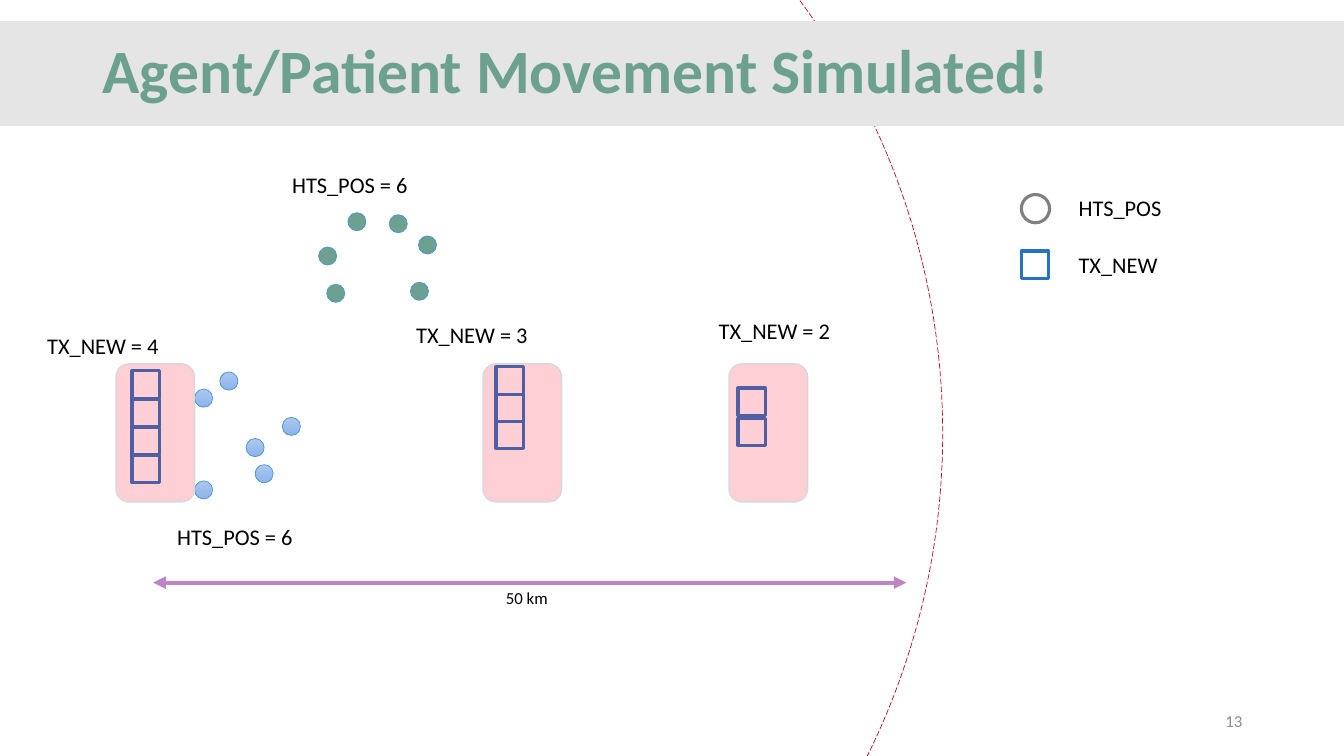
from lxml import etree
from pptx import Presentation
from pptx import util as u
from pptx.dml.color import RGBColor
from pptx.enum import dml, shapes, text
from pptx.oxml.ns import qn

EMU_PER_PX = 9144
FONT = "Calibri"
COLORS = {
    "radius": "B81020", "band": "E5E5E5", "title": "6CA18F",
    "green": "6CA18F", "blue_top": "ACC8EE", "blue_bottom": "8BB4EB",
    "agent_line": "4B94DD", "slot": "2573C1", "ring": "808080",
    "ward": "FF1234", "ward_line": "D8D8D8", "scale": "BE84C6",
    "text": "000000", "number": "8C8C8C",
}
SHAPE = shapes.MSO_SHAPE
ALIGN = text.PP_ALIGN
ANCHOR = text.MSO_ANCHOR
SLOT = 27
AGENT = 18
LABEL_W, LABEL_H = 196, 37
WARD_W, WARD_H = 78, 137


def px(n):
    return u.Emu(n * EMU_PER_PX)


def rgb(name):
    return RGBColor.from_string(COLORS[name])


def add_text(s, box, words, size=16, color="text", bold=False, align=ALIGN.LEFT,
             anchor=ANCHOR.TOP, spacing=1.0):
    sp = s.shapes.add_textbox(*map(px, box))
    tf = sp.text_frame
    tf.word_wrap = True
    tf.vertical_anchor = anchor
    p = tf.paragraphs[0]
    p.alignment = align
    p.line_spacing = spacing
    r = p.add_run()
    r.text = words
    r.font.name = FONT
    r.font.size = u.Pt(size)
    r.font.bold = bold
    r.font.color.rgb = rgb(color)


def add_shape(s, kind, box, fill=None, line=None, width=1, alpha=None):
    sp = s.shapes.add_shape(kind, *map(px, box))
    sp.shadow.inherit = False
    if fill:
        sp.fill.solid()
        sp.fill.fore_color.rgb = rgb(fill)
    else:
        sp.fill.background()
    if alpha:
        color = sp.fill._xPr.find(qn("a:solidFill"))[0]
        etree.SubElement(color, qn("a:alpha"), val=str(alpha * 1000))
    if line:
        sp.line.color.rgb = rgb(line)
        sp.line.width = u.Pt(width)
    else:
        sp.line.fill.background()
    return sp


def add_slot(s, x, y):
    add_shape(s, SHAPE.RECTANGLE, (x, y, SLOT, SLOT), line="slot", width=2.25)


def add_radius(s, x, y, size):
    sp = add_shape(s, SHAPE.OVAL, (x, y, size, size), line="radius", width=0.5)
    sp.line.dash_style = dml.MSO_LINE.LONG_DASH


def add_header(s, x, y, w, h):
    add_shape(s, SHAPE.RECTANGLE, (x, y, w, h), "band")
    add_text(s, (x + 92, y - 21, 1150, 145), "Agent/Patient Movement Simulated!",
             size=44, color="title", bold=True, anchor=ANCHOR.MIDDLE, spacing=0.9)


def add_agents(s, x, y, spots, label_at, gradient=False):
    for dx, dy in spots:
        sp = add_shape(s, SHAPE.OVAL, (x + dx, y + dy, AGENT, AGENT),
                       "green", "agent_line", 0.5)
        if gradient:
            sp.fill.gradient()
            sp.fill.gradient_angle = 270
            for stop, name in zip(sp.fill.gradient_stops, ("blue_top", "blue_bottom")):
                stop.color.rgb = rgb(name)
    add_text(s, (x + label_at[0], y + label_at[1], LABEL_W, LABEL_H),
             f"HTS_POS = {len(spots)}")


def add_ward(s, x, y, count, first_slot, pitch, label_at):
    for i in range(count):
        add_slot(s, x + first_slot[0], y + first_slot[1] + i * pitch)
    add_shape(s, SHAPE.ROUNDED_RECTANGLE, (x, y, WARD_W, WARD_H),
              "ward", "ward_line", alpha=20)
    add_text(s, (x + label_at[0], y + label_at[1], LABEL_W, LABEL_H),
             f"TX_NEW = {count}")


def add_legend(s, x, y):
    add_shape(s, SHAPE.OVAL, (x, y, 28, 28), line="ring", width=2.25)
    add_slot(s, x, y + 56)
    for i, words in enumerate(("HTS_POS", "TX_NEW")):
        add_text(s, (x + 47, y - 5 + i * 56, LABEL_W, LABEL_H), words)


def add_scale(s, x, y, w):
    c = s.shapes.add_connector(shapes.MSO_CONNECTOR.STRAIGHT,
                               px(x), px(y), px(x + w), px(y))
    c.line.color.rgb = rgb("scale")
    c.line.width = u.Pt(3)
    ln = c.line._get_or_add_ln()
    for end in ("a:headEnd", "a:tailEnd"):
        etree.SubElement(ln, qn(end), type="triangle")
    etree.SubElement(c._element.spPr, qn("a:effectLst"))
    add_text(s, (x + 340, y, 73, 30), "50 km", size=12)


def add_number(s, x, y, w, h):
    add_text(s, (x, y, w, h), "13", size=12, color="number",
             align=ALIGN.RIGHT, anchor=ANCHOR.MIDDLE)


def main():
    prs = Presentation()
    prs.slide_width, prs.slide_height = px(1333), px(750)
    s = prs.slides.add_slide(prs.slide_layouts[6])
    add_radius(s, -509, -292, 1444)
    add_number(s, 942, 695, 300, 40)
    add_header(s, 0, 21, 1333, 104)
    add_agents(s, 193, 369,
               [(0, 17), (25, 0), (51, 66), (87, 45), (60, 92), (0, 108)],
               (-27, 145), gradient=True)
    add_agents(s, 316, 211,
               [(0, 34), (29, 0), (99, 23), (8, 71), (70, 2), (91, 69)],
               (-36, -46))
    add_ward(s, 115, 361, 4, (16, 7), 28, (-78, -36))
    add_ward(s, 479, 361, 3, (13, 3), 27, (-76, -47))
    add_ward(s, 723, 361, 2, (9, 24), 30, (-20, -51))
    add_legend(s, 1013, 193)
    add_scale(s, 152, 578, 747)
    prs.save("out.pptx")


if __name__ == "__main__":
    main()
